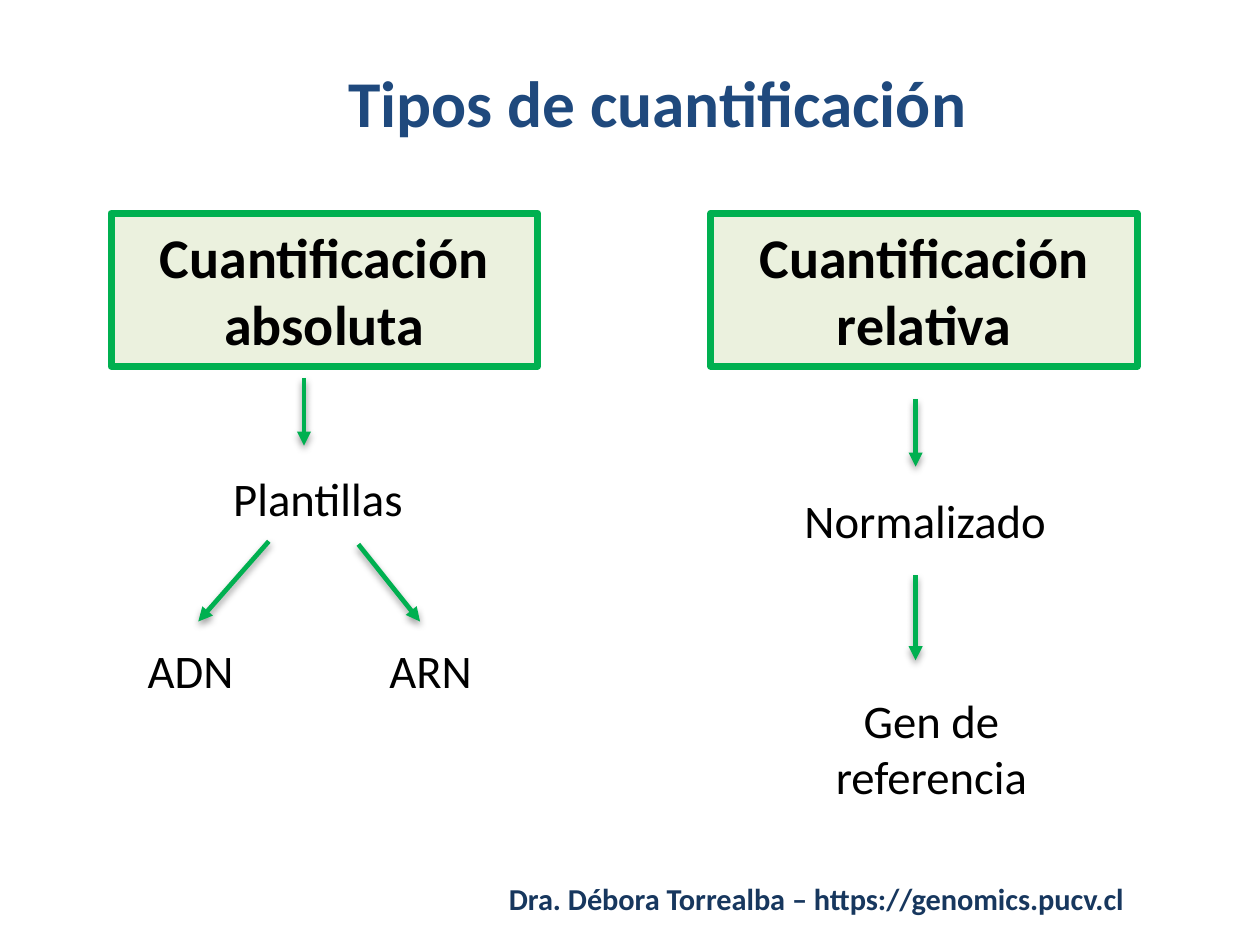
from lxml import etree
from pptx import Presentation
from pptx.dml.color import RGBColor
from pptx.enum import shapes, text
from pptx.oxml import ns
from pptx.util import Pt

NAVY = RGBColor(0x1F, 0x49, 0x7D)
DEEP = RGBColor(0x17, 0x37, 0x5E)
GREEN = RGBColor(0x00, 0xB0, 0x50)
PALE = RGBColor(0xEB, 0xF1, 0xDE)
BLACK = RGBColor(0, 0, 0)
LEFT, MID = text.PP_ALIGN.LEFT, text.PP_ALIGN.CENTER

# Content; boxes are (left, top, width, height) in points
TITLE = "Tipos de cuantificación"
FOOTER = "Dra. Débora Torrealba – https://genomics.pucv.cl"
HEADS = ["Cuantificación absoluta", "Cuantificación relativa"]
LABELS = [
    ("Plantillas", (92.9, 198, 93.6, 31.5), LEFT),
    ("ADN", (56.2, 271.5, 59, 31.5), LEFT),
    ("ARN", (159.8, 271.5, 59, 31.5), LEFT),
    ("Normalizado", (337.7, 207.4, 122.4, 31.5), LEFT),
    ("Gen de referencia", (343.4, 293, 111.6, 55.5), MID),
]
ARROWS = [  # start x, start y, end x, end y
    (130.3, 162, 130.3, 191),
    (115.2, 232, 85, 266.4),
    (153.6, 233.3, 180, 266.4),
    (392.4, 171, 392.4, 200),
    (392.4, 246.5, 392.4, 283),
]
HEAD_X, HEAD_Y, HEAD_W, HEAD_H, HEAD_STEP = 47.6, 91.4, 182.8, 65.6, 257


def write(shape, words, size, color, align, bold=False):
    frame = shape.text_frame
    frame.word_wrap = True
    para = frame.paragraphs[0]
    para.text = words
    para.alignment = align
    font = para.font
    font.name, font.size, font.bold = "Calibri", Pt(size), bold
    font.color.rgb = color
    return frame


def label(slide, words, box, size, color, align, bold=False):
    shape = slide.shapes.add_textbox(*map(Pt, box))
    write(shape, words, size, color, align, bold)


def arrow(slide, ends):
    line = slide.shapes.add_connector(
        shapes.MSO_CONNECTOR.STRAIGHT, *map(Pt, ends))
    line.line.color.rgb = GREEN
    line.line.width = Pt(2)
    # Arrowhead and soft shadow below the line
    etree.SubElement(line.line._get_or_add_ln(), ns.qn("a:tailEnd"),
                     type="triangle")
    effects = etree.SubElement(line._element.spPr, ns.qn("a:effectLst"))
    shade = etree.SubElement(
        effects, ns.qn("a:outerShdw"), blurRad=str(Pt(3.1)),
        dist=str(Pt(1.6)), dir="5400000", rotWithShape="0")
    tone = etree.SubElement(shade, ns.qn("a:srgbClr"), val=str(BLACK))
    etree.SubElement(tone, ns.qn("a:alpha"), val="38000")


def main():
    deck = Presentation()
    deck.slide_width, deck.slide_height = Pt(540), Pt(405)
    slide = deck.slides.add_slide(deck.slide_layouts[5])

    # Title and footer
    title = slide.shapes.title
    title.left, title.top = Pt(99.4), Pt(17.3)
    title.width, title.height = Pt(364.4), Pt(52.6)
    frame = write(title, TITLE, 28, NAVY, MID, True)
    frame.vertical_anchor = text.MSO_ANCHOR.MIDDLE
    label(slide, FOOTER, (211, 373.7, 309, 23), 13, DEEP, LEFT, True)

    # Two heading boxes
    for i, words in enumerate(HEADS):
        box = (HEAD_X + i * HEAD_STEP, HEAD_Y, HEAD_W, HEAD_H)
        head = slide.shapes.add_shape(
            shapes.MSO_SHAPE.RECTANGLE, *map(Pt, box))
        head.shadow.inherit = False
        head.fill.solid()
        head.fill.fore_color.rgb = PALE
        head.line.color.rgb = GREEN
        head.line.width = Pt(3)
        write(head, words, 24, BLACK, MID, True)

    # Branches below the headings
    for words, box, align in LABELS:
        label(slide, words, box, 20, BLACK, align)
    for ends in ARROWS:
        arrow(slide, ends)

    deck.save("out.pptx")


if __name__ == "__main__":
    main()
